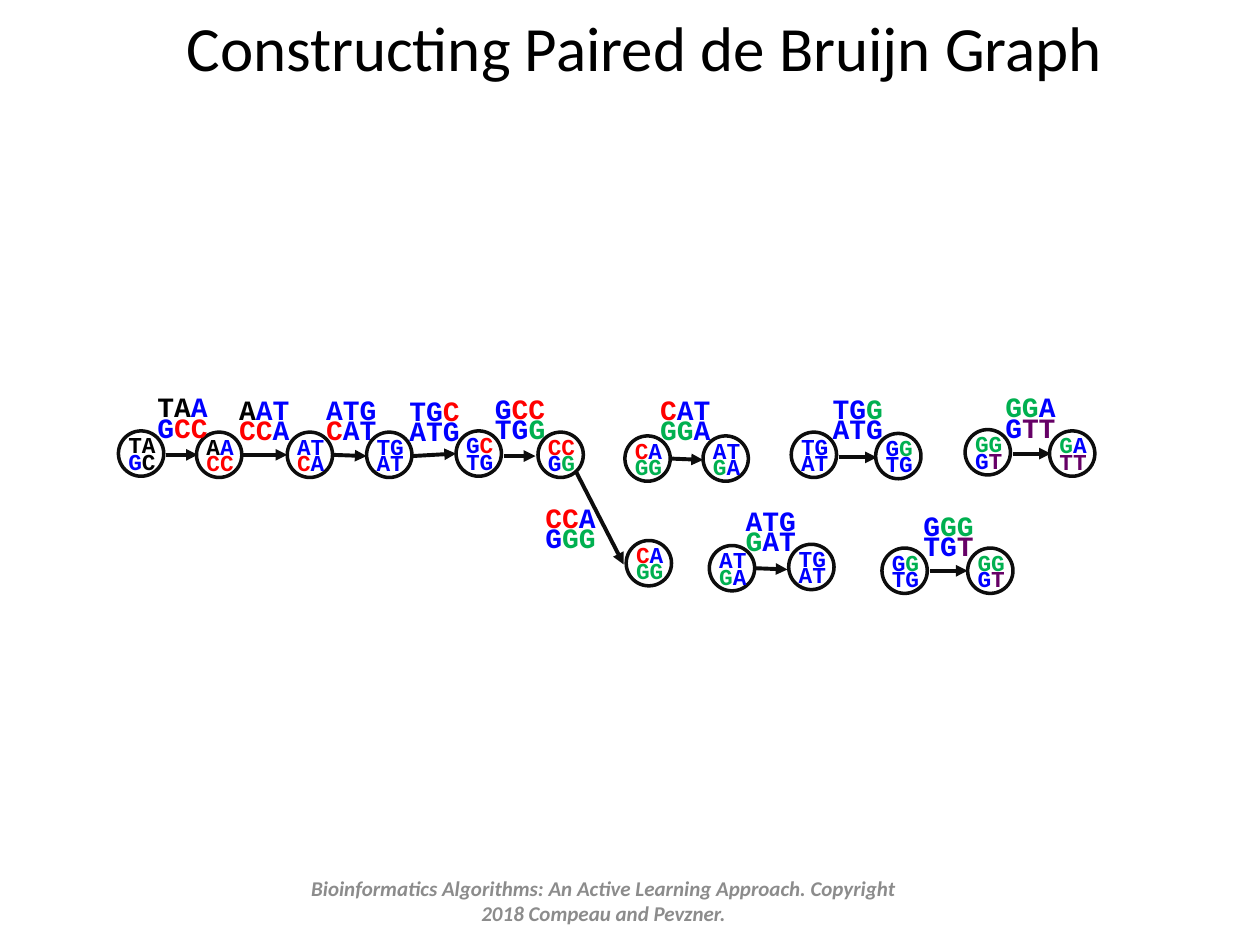
from itertools import groupby

from lxml import etree
from pptx import Presentation
from pptx.dml.color import RGBColor
from pptx.enum.shapes import MSO_CONNECTOR, MSO_SHAPE
from pptx.enum.text import MSO_ANCHOR, MSO_AUTO_SIZE, PP_ALIGN
from pptx.oxml.ns import qn
from pptx.util import Inches, Pt

STRAIGHT = MSO_CONNECTOR.STRAIGHT
OVAL = MSO_SHAPE.OVAL
MIDDLE = MSO_ANCHOR.MIDDLE
GROW = MSO_AUTO_SIZE.SHAPE_TO_FIT_TEXT
FIXED = MSO_AUTO_SIZE.NONE
CENTER = PP_ALIGN.CENTER
TITLE_ONLY = 5

COLUMNS, ROWS = 100, 75
NODE_SIZE = 3.6
INK = "0D0D0D"
BASE_COLORS = {"k": "000000", "b": "0000FF", "r": "FF0000",
               "g": "00B050", "p": "660066"}

# Left, top, upper and lower bases, colour key of each base
NODES = [
    (9.4, 34.2, "TA GC", "kk bk"), (15.6, 34.3, "AA CC", "kb rr"),
    (22.8, 34.3, "AT CA", "bb rb"), (29.1, 34.3, "TG AT", "bb bb"),
    (36.2, 34.2, "GC TG", "br bb"), (42.7, 34.3, "CC GG", "rr bg"),
    (49.7, 42.9, "CA GG", "rb gg"),
    (49.6, 34.6, "CA GG", "rb gg"), (55.8, 34.6, "AT GA", "bb gb"),
    (56.3, 43.3, "AT GA", "bb gb"), (62.6, 43.2, "TG AT", "bb bb"),
    (62.8, 34.3, "TG AT", "bb bb"), (69.5, 34.4, "GG TG", "bg bb"),
    (70.0, 43.5, "GG TG", "bg bb"), (76.8, 43.5, "GG GT", "gg bp"),
    (76.6, 34.1, "GG GT", "gg bp"), (83.3, 34.2, "GA TT", "gb pp"),
]
# Arrow start and end, label left and top, bases, colour keys
EDGES = [
    ((13.2, 36.1), (15.7, 36.1), (11.5, 31.4), "TAA GCC", "kkb brr"),
    ((19.2, 36.1), (22.8, 36.1), (18.0, 31.6), "AAT CCA", "kbb rrb"),
    ((26.4, 36.1), (29.1, 36.2), (24.9, 31.6), "ATG CAT", "bbb rbb"),
    ((32.7, 36.2), (36.2, 36.0), (31.5, 31.7), "TGC ATG", "bbr bbb"),
    ((40.0, 36.2), (42.5, 36.2), (38.3, 31.5), "GCC TGG", "brr bbg"),
    ((45.7, 37.4), (49.5, 44.8), (42.3, 40.2), "CCA GGG", "rrb bgg"),
    ((53.3, 36.4), (55.8, 36.5), (51.4, 31.6), "CAT GGA", "rbb ggb"),
    ((60.0, 45.1), (62.5, 45.2), (58.2, 40.4), "ATG GAT", "bbb gbb"),
    ((66.6, 36.3), (69.6, 36.3), (65.1, 31.5), "TGG ATG", "bbg bbb"),
    ((73.8, 45.3), (76.8, 45.3), (72.3, 40.8), "GGG TGT", "bgg bbp"),
    ((80.4, 36.0), (83.4, 36.0), (78.8, 31.4), "GGA GTT", "ggb bpp"),
]


def rgb(color):
    return RGBColor.from_string(color)


def set_font(font, name, size, color, bold=False, italic=False):
    font.name, font.size = name, Pt(size)
    font.bold, font.italic = bold, italic
    font.color.rgb = rgb(color)


class SlideBuilder:
    """Draws on one slide, with lengths in grid columns and rows."""

    text_font = "Calibri"
    base_font = "Courier New"

    def __init__(self, deck):
        self.slide = deck.slides.add_slide(deck.slide_layouts[TITLE_ONLY])
        self.column = deck.slide_width / COLUMNS
        self.row = deck.slide_height / ROWS

    def place(self, left, top, width, height):
        return (round(left * self.column), round(top * self.row),
                round(width * self.column), round(height * self.row))

    def title(self, text, *area):
        box = self.slide.shapes.title
        box.left, box.top, box.width, box.height = self.place(*area)
        frame = box.text_frame
        frame.text = text
        frame.auto_size = FIXED
        para = frame.paragraphs[0]
        para.alignment = CENTER
        set_font(para.runs[0].font, self.text_font, 36, "000000")

    def footer(self, text, *area):
        frame = self.slide.shapes.add_textbox(*self.place(*area)).text_frame
        frame.text = text
        frame.word_wrap = True
        frame.vertical_anchor = MIDDLE
        para = frame.paragraphs[0]
        para.alignment = CENTER
        set_font(para.runs[0].font, self.text_font, 12, "8C8C8C", True, True)

    def bases(self, area, size, strands, keys):
        """Two stacked strands, with one run for each stretch of one colour."""
        frame = self.slide.shapes.add_textbox(*self.place(*area)).text_frame
        frame.word_wrap = False
        frame.auto_size = GROW
        for index, pair in enumerate(zip(strands.split(), keys.split())):
            para = frame.add_paragraph() if index else frame.paragraphs[0]
            para.line_spacing = 0.6
            for key, group in groupby(zip(*pair), key=lambda item: item[1]):
                span = para.add_run()
                span.text = "".join(base for base, _ in group)
                set_font(span.font, self.base_font, size, BASE_COLORS[key], True)

    def node(self, left, top, strands, keys):
        circle = self.slide.shapes.add_shape(
            OVAL, *self.place(left, top, NODE_SIZE, NODE_SIZE))
        circle.shadow.inherit = False
        circle.fill.background()
        circle.line.color.rgb = rgb(INK)
        circle.line.width = Pt(2)
        self.bases((left - 0.2, top + 0.3, 4.2, 3.6), 13, strands, keys)

    def arrow(self, start, end):
        arrow = self.slide.shapes.add_connector(
            STRAIGHT, *self.place(*start, *end))
        arrow.line.color.rgb = rgb(INK)
        arrow.line.width = Pt(2.25)
        etree.SubElement(arrow.line._get_or_add_ln(), qn("a:tailEnd"),
                         type="triangle")
        etree.SubElement(arrow._element.spPr, qn("a:effectLst"))

    def edge_label(self, corner, strands, keys):
        self.bases((*corner, 6.1, 4.2), 16, strands, keys)


def main():
    deck = Presentation()
    deck.slide_width, deck.slide_height = Inches(10), Inches(7.5)
    page = SlideBuilder(deck)
    page.title("Constructing Paired de Bruijn Graph", 0.7, 0.1, 100.9, 7.1)
    for start, end, *_ in EDGES:
        page.arrow(start, end)
    for node in NODES:
        page.node(*node)
    for _, _, *label in EDGES:
        page.edge_label(*label)
    page.footer("Bioinformatics Algorithms: An Active Learning Approach. "
                "Copyright 2018 Compeau and Pevzner.", 22.5, 69.5, 50.8, 4)
    deck.save("out.pptx")


if __name__ == "__main__":
    main()
